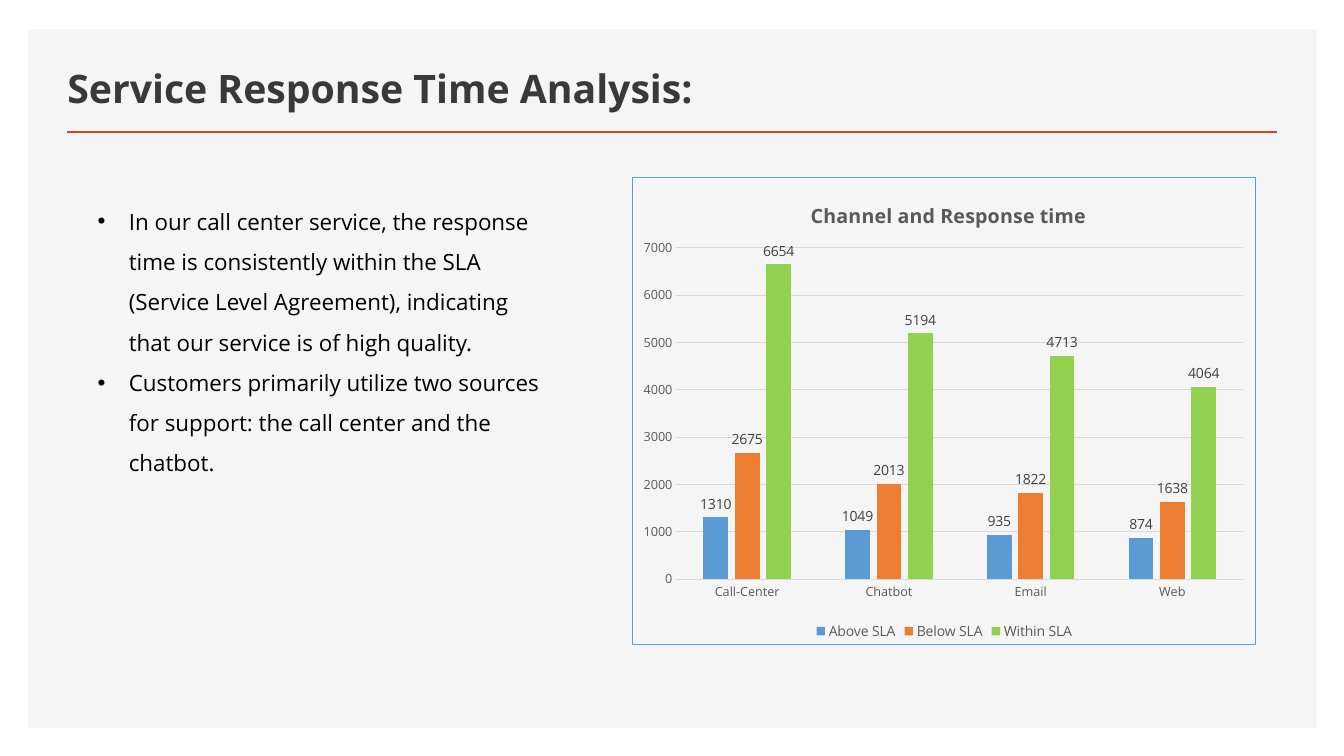
import pptx
import pptx.chart.data
import pptx.dml.color
import pptx.enum.chart
import pptx.enum.shapes
import pptx.enum.text
import pptx.oxml
import pptx.oxml.ns
import pptx.util
from pptx.util import Inches

FONT = "Open Sans"
CHART_NS = pptx.oxml.ns.nsdecls("c", "a")
BULLETS = [
    "In our call center service, the response time is consistently within the SLA "
    "(Service Level Agreement), indicating that our service is of high quality.",
    "Customers primarily utilize two sources for support: the call center and the chatbot.",
]
CHANNELS = ["Call-Center", "Chatbot", "Email", "Web"]
RESPONSES = [
    ("Above SLA", "5B9BD5", [1310, 1049, 935, 874]),
    ("Below SLA", "ED7D31", [2675, 2013, 1822, 1638]),
    ("Within SLA", "92D050", [6654, 5194, 4713, 4064]),
]


def color(value):
    return pptx.dml.color.RGBColor.from_string(value)


def style_font(font, size, value, bold=False):
    font.name = FONT
    font.size = pptx.util.Pt(size)
    font.bold = bold
    font.color.rgb = color(value)


def style_line(line, value, width):
    line.color.rgb = color(value)
    line.width = pptx.util.Pt(width)


def add_panel(slide):
    panel = slide.shapes.add_shape(
        pptx.enum.shapes.MSO_SHAPE.RECTANGLE,
        Inches(0.28), Inches(0.29), Inches(12.78), Inches(6.93))
    panel.shadow.inherit = False
    panel.fill.solid()
    panel.fill.fore_color.rgb = color("F5F5F5")
    panel.line.fill.background()


def add_rule(slide):
    rule = slide.shapes.add_connector(
        pptx.enum.shapes.MSO_CONNECTOR.STRAIGHT,
        Inches(0.66), Inches(1.31), Inches(12.67), Inches(1.31))
    style_line(rule.line, "D24726", 2)
    properties = rule._element.spPr
    properties.append(pptx.oxml.parse_xml(f"<a:effectLst {CHART_NS}/>"))


def add_text_frame(slide, left, top, width, height):
    box = slide.shapes.add_textbox(Inches(left), Inches(top), Inches(width), Inches(height))
    box.text_frame.word_wrap = True
    return box.text_frame


def add_run(paragraph, text, size, value, bold=False):
    run = paragraph.add_run()
    run.text = text
    style_font(run.font, size, value, bold)


def add_title(slide):
    frame = add_text_frame(slide, 0.57, 0.45, 7.52, 0.7)
    frame.vertical_anchor = pptx.enum.text.MSO_ANCHOR.BOTTOM
    add_run(frame.paragraphs[0], "Service Response Time Analysis:", 28, "3B3838", True)


def add_bullets(slide):
    frame = add_text_frame(slide, 0.87, 1.88, 4.74, 2.47)
    for index, text in enumerate(BULLETS):
        paragraph = frame.add_paragraph() if index else frame.paragraphs[0]
        paragraph.line_spacing = 1.5
        properties = paragraph._p.get_or_add_pPr()
        properties.set("marL", str(Inches(0.31)))
        properties.set("indent", str(-Inches(0.31)))
        for bullet in ('buFont typeface="Arial"', 'buChar char="•"'):
            properties.append(pptx.oxml.parse_xml(f"<a:{bullet} {CHART_NS}/>"))
        add_run(paragraph, text, 16, "000000")


def set_layout(element, index, **settings):
    for layout in element.findall(pptx.oxml.ns.qn("c:layout")):
        element.remove(layout)
    items = "".join(f'<c:{name} val="{value}"/>' for name, value in settings.items())
    element.insert(index, pptx.oxml.parse_xml(
        f"<c:layout {CHART_NS}><c:manualLayout>{items}</c:manualLayout></c:layout>"))


def add_border(chart, value, width):
    border = pptx.oxml.parse_xml(
        f'<c:spPr {CHART_NS}><a:noFill/><a:ln w="{pptx.util.Pt(width)}">'
        f'<a:solidFill><a:srgbClr val="{value}"/></a:solidFill></a:ln></c:spPr>')
    chart._chartSpace.find(pptx.oxml.ns.qn("c:chart")).addnext(border)


def style_axes(chart):
    for axis in (chart.category_axis, chart.value_axis):
        axis.major_tick_mark = pptx.enum.chart.XL_TICK_MARK.NONE
        axis.minor_tick_mark = pptx.enum.chart.XL_TICK_MARK.NONE
        style_font(axis.tick_labels.font, 9, "595959")
    style_line(chart.category_axis.format.line, "D9D9D9", 0.75)
    chart.value_axis.format.line.fill.background()
    chart.value_axis.maximum_scale = 7000
    chart.value_axis.minimum_scale = 0
    chart.value_axis.major_unit = 1000
    style_line(chart.value_axis.major_gridlines.format.line, "D9D9D9", 0.75)


def style_series(series, value):
    series.format.fill.solid()
    series.format.fill.fore_color.rgb = color(value)
    series.invert_if_negative = False
    labels = series.data_labels
    labels.show_value = True
    labels.position = pptx.enum.chart.XL_LABEL_POSITION.OUTSIDE_END
    style_font(labels.font, 10, "404040")


def add_response_chart(slide):
    data = pptx.chart.data.CategoryChartData()
    data.categories = CHANNELS
    for name, _, values in RESPONSES:
        data.add_series(name, values)
    chart = slide.shapes.add_chart(
        pptx.enum.chart.XL_CHART_TYPE.COLUMN_CLUSTERED,
        Inches(6.27), Inches(1.76), Inches(6.19), Inches(4.64), data).chart
    style_font(chart.font, 10, "000000")
    add_border(chart, "5B9BD5", 0.75)

    chart.has_title = True
    add_run(chart.chart_title.text_frame.paragraphs[0],
            "Channel and Response time", 14, "595959", True)
    set_layout(chart.chart_title._element, 1, xMode="edge", yMode="edge", x=0.28, y=0.04)
    set_layout(chart._chartSpace.chart.plotArea, 0, layoutTarget="inner",
               xMode="edge", yMode="edge", x=0.07, y=0.15, w=0.91, h=0.71)

    chart.has_legend = True
    chart.legend.position = pptx.enum.chart.XL_LEGEND_POSITION.BOTTOM
    chart.legend.include_in_layout = False
    style_font(chart.legend.font, 10, "595959")

    style_axes(chart)
    plot = chart.plots[0]
    plot.gap_width = 219
    plot.overlap = -27
    plot.vary_by_categories = False
    for series, (_, value, _) in zip(plot.series, RESPONSES):
        style_series(series, value)


def main():
    presentation = pptx.Presentation()
    presentation.slide_width = Inches(13.33)
    presentation.slide_height = Inches(7.5)
    slide = presentation.slides.add_slide(presentation.slide_layouts[6])
    add_panel(slide)
    add_rule(slide)
    add_title(slide)
    add_bullets(slide)
    add_response_chart(slide)
    presentation.save("out.pptx")


if __name__ == "__main__":
    main()
